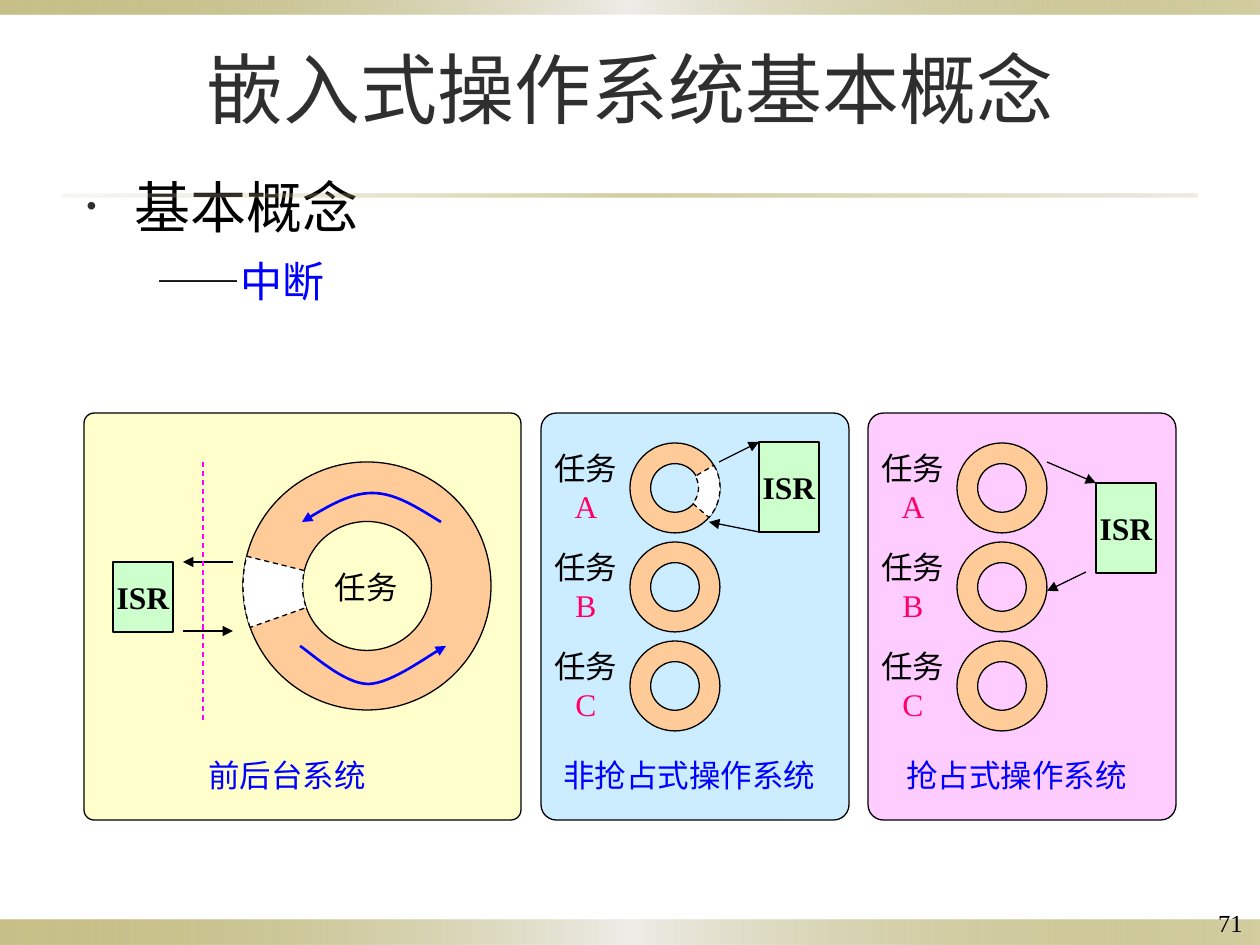
"""Build the slide on interrupts in embedded operating systems."""
from lxml import etree
from pptx import Presentation
from pptx import util as u
from pptx.dml.color import RGBColor
from pptx.enum import dml, shapes, text
from pptx.oxml.ns import qn

PX = 914400 / 126
BLACK = RGBColor(0, 0, 0)
WHITE = RGBColor(255, 255, 255)
DARK = RGBColor(0x2F, 0x2F, 0x2F)
BLUE = RGBColor(0, 0, 255)
ROSE = RGBColor(255, 0, 0x66)
PINK = RGBColor(255, 0, 255)
CREAM = RGBColor(255, 255, 0xCC)
SKY = RGBColor(0xCC, 0xEC, 255)
LILAC = RGBColor(255, 0xCC, 255)
MINT = RGBColor(0xCC, 255, 0xCC)
PEACH = RGBColor(255, 0xCC, 0x99)
OLIVE = RGBColor(0x91, 0x84, 0x15)
PALE = RGBColor(0xEE, 0xED, 0xE8)
SAND = RGBColor(0xDC, 0xD9, 0xCC)

KIND = shapes.MSO_SHAPE
LEFT, MID, RIGHT = text.PP_ALIGN.LEFT, text.PP_ALIGN.CENTER, text.PP_ALIGN.RIGHT
TOP, CORE = text.MSO_ANCHOR.TOP, text.MSO_ANCHOR.MIDDLE
SERIF, SANS = "Times New Roman", "Roboto"
BAND = [(0, OLIVE, 50), (50, PALE, 100), (100, OLIVE, 40)]
RULE = [(0, SAND, 20), (50, OLIVE, 40), (100, SAND, 50)]


def px(num):
    return u.Emu(round(num * PX))


def place(item, box):
    item.left, item.top, item.width, item.height = map(px, box)


def write(item, runs, size=18, font=SERIF, bold=False, align=MID, anchor=TOP, wrap=True):
    frame = item.text_frame
    frame.auto_size = text.MSO_AUTO_SIZE.NONE
    frame.word_wrap = wrap
    frame.vertical_anchor = anchor
    par = frame.paragraphs[0]
    par.alignment = align
    par.space_before = u.Pt(0)
    for words, hue in runs:
        run = par.add_run()
        run.text = words
        run.font.size = u.Pt(size)
        run.font.name = font
        run.font.bold = bold
        run.font.color.rgb = hue
    return par


def label(slide, box, runs, **form):
    item = slide.shapes.add_textbox(*map(px, box))
    write(item, runs, **form)


def bullet(par, sign, hue, size):
    props = par._p.get_or_add_pPr()
    props.set("marL", str(px(48)))
    props.set("indent", str(px(-48)))
    tint = etree.SubElement(props, qn("a:buClr"))
    etree.SubElement(tint, qn("a:srgbClr"), val=str(hue))
    etree.SubElement(props, qn("a:buSzPct"), val=str(size * 1000))
    etree.SubElement(props, qn("a:buChar"), char=sign)


def stroke(line, hue=BLACK, width=0.75, dash=False, arrow=False):
    line.color.rgb = hue
    line.width = u.Pt(width)
    if dash:
        line.dash_style = dml.MSO_LINE.DASH
    if arrow:
        etree.SubElement(line._get_or_add_ln(), qn("a:tailEnd"), type="triangle")


def form(slide, kind, box, fill, dash=False, adj=()):
    item = slide.shapes.add_shape(kind, *map(px, box))
    item.shadow.inherit = False
    item.fill.solid()
    item.fill.fore_color.rgb = fill
    stroke(item.line, dash=dash)
    for spot, val in enumerate(adj):
        item.adjustments[spot] = val
    return item


def strip(slide, box, stops):
    item = slide.shapes.add_shape(KIND.RECTANGLE, *map(px, box))
    item.shadow.inherit = False
    item.line.fill.background()
    item.fill.gradient()
    item.fill.gradient_angle = 0
    stack = item._element.spPr.find(".//" + qn("a:gsLst"))
    for old in list(stack):
        stack.remove(old)
    for pos, hue, solid in stops:
        stop = etree.SubElement(stack, qn("a:gs"), pos=str(pos * 1000))
        tint = etree.SubElement(stop, qn("a:srgbClr"), val=str(hue))
        etree.SubElement(tint, qn("a:alpha"), val=str(solid * 1000))


def link(slide, start, end, **style):
    item = slide.shapes.add_connector(
        shapes.MSO_CONNECTOR.STRAIGHT, *map(px, start + end))
    stroke(item.line, **style)
    etree.SubElement(item._element.spPr, qn("a:effectLst"))


def bend(knots, steps=16):
    """Sample a chain of cubic curves that share their end knots."""
    dots = [knots[0]]
    for first in range(0, len(knots) - 1, 3):
        quad = knots[first:first + 4]
        for step in range(1, steps + 1):
            t = step / steps
            parts = ((1 - t) ** 3, 3 * t * (1 - t) ** 2, 3 * t * t * (1 - t), t ** 3)
            dots.append(tuple(sum(w * k[axis] for w, k in zip(parts, quad))
                              for axis in (0, 1)))
    return dots


def curve(slide, knots):
    dots = [(px(x), px(y)) for x, y in bend(knots)]
    pen = slide.shapes.build_freeform(*dots[0], scale=1.0)
    pen.add_line_segments(dots[1:], close=False)
    item = pen.convert_to_shape()
    item.shadow.inherit = False
    item.fill.background()
    stroke(item.line, BLUE, 1.5, arrow=True)


def ring(slide, left, top, size):
    form(slide, KIND.DONUT, (left, top, size, size), PEACH, adj=[0.24 if size > 90 else 0.23])


def gap(slide, left, top, size, half, turn):
    """Cut a white wedge of twice the half angle out of a ring."""
    adj = [(270 - half) * 0.6, (270 + half) * 0.6, 0.24]
    item = form(slide, KIND.BLOCK_ARC, (left, top, size, size), WHITE, True, adj)
    item.rotation = turn


def panel(slide, left, width, fill, curb):
    form(slide, KIND.ROUNDED_RECTANGLE, (left, 413, width, 407), fill, adj=[curb])


def routine(slide, box):
    item = form(slide, KIND.RECTANGLE, box, MINT)
    write(item, [("ISR", BLACK)], bold=True, anchor=CORE, wrap=False)


def tasks(slide, left, fill, title):
    """Draw a panel that holds three task rings and a caption."""
    panel(slide, left, 308, fill, 0.05)
    for row, name in enumerate("ABC"):
        top = 443 + 99 * row
        ring(slide, left + 89, top, 90)
        label(slide, (left, top, 90, 88), [("任务", BLACK), (name, ROSE)])
    label(slide, (left + 10, 750, 277, 50), [(title, BLUE)])


def head(slide):
    strip(slide, (0, 920, 1260, 25), BAND)
    strip(slide, (0, 0, 1260, 15), BAND)
    strip(slide, (63, 194, 1134, 3), RULE)
    label(slide, (1159, 902, 96, 43), [("71", BLACK)], size=14, align=RIGHT)
    title, body = slide.placeholders
    place(title, (63, 9, 1134, 157))
    write(title, [("嵌入式操作系统基本概念", DARK)], size=44, font=SANS, anchor=CORE)
    place(body, (74, 166, 484, 101))
    par = write(body, [("基本概念", BLACK)], size=32, font=SANS, align=LEFT)
    bullet(par, "•", DARK, 50)
    label(slide, (144, 249, 566, 63), [("——", BLACK), ("中断", BLUE)], size=24, align=LEFT)


def loop(slide):
    panel(slide, 84, 437, CREAM, 0.025)
    label(slide, (183, 750, 208, 50), [("前后台系统", BLUE)])
    routine(slide, (113, 562, 60, 70))
    link(slide, (233, 562), (183, 562), arrow=True)
    link(slide, (183, 631), (233, 631), arrow=True)
    link(slide, (203, 462), (203, 721), hue=PINK, dash=True)
    ring(slide, 243, 462, 248)
    label(slide, (302, 562, 129, 50), [("任务", BLACK)])
    curve(slide, [(300, 646), (311, 653), (344, 684), (368, 684),
                  (392, 684), (430, 654), (446, 646)])
    curve(slide, [(441, 522), (418, 508), (396, 493), (372, 493),
                  (349, 493), (325, 508), (302, 522)])
    gap(slide, 243, 462, 248, 16.7, 267.2)


def main():
    deck = Presentation()
    deck.slide_width, deck.slide_height = px(1260), px(945)
    slide = deck.slides.add_slide(deck.slide_layouts[1])
    head(slide)
    loop(slide)
    tasks(slide, 541, SKY, "非抢占式操作系统")
    routine(slide, (759, 442, 60, 90))
    link(slide, (719, 462), (759, 442), arrow=True)
    link(slide, (759, 532), (709, 522), arrow=True)
    gap(slide, 630, 443, 90, 35.7, 95.4)
    tasks(slide, 868, LILAC, "抢占式操作系统")
    routine(slide, (1096, 483, 60, 90))
    link(slide, (1047, 462), (1096, 483), arrow=True)
    link(slide, (1086, 572), (1047, 591), arrow=True)
    deck.save("out.pptx")


if __name__ == "__main__":
    main()
